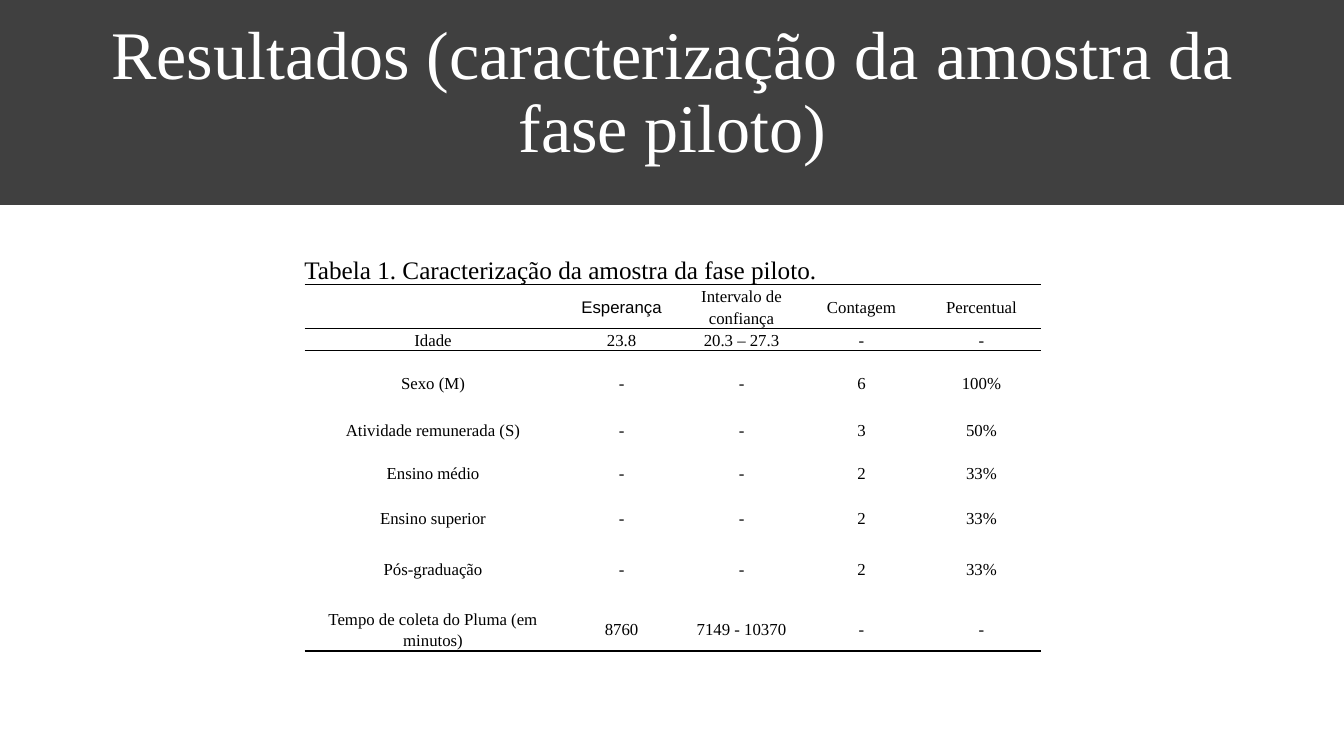
"""Build the slide that describes the pilot sample."""
from dataclasses import dataclass
from typing import Any

from lxml.etree import SubElement as Sub
from pptx import Presentation
from pptx.dml.color import RGBColor as RGB
from pptx.enum.shapes import MSO_SHAPE as Shape
from pptx.enum.text import MSO_ANCHOR as Anchor, MSO_AUTO_SIZE as Fit, PP_ALIGN as Align
from pptx.oxml.ns import qn
from pptx.util import Inches, Pt

HUES = {"band": "404040", "ink": "000000", "paper": "FFFFFF"}
SERIF, SANS = "Times New Roman", "Arial"
PLAIN = "{2D5ABB26-0587-4C30-8999-92F81FD0307C}"
TOP, BASE = "a:lnT", "a:lnB"
COLS = (2.55, 1.19, 1.19, 1.19, 1.19)
CELL = {"margin_left": Inches(0.05), "margin_right": Inches(0.05),
        "margin_top": 0, "margin_bottom": 0, "vertical_anchor": Anchor.MIDDLE}


@dataclass(frozen=True)
class Row:
    """One table row: its height, texts and ruled edges."""
    high: float
    cells: tuple[str, ...] = ("",) * len(COLS)
    rules: tuple[str, ...] = ()


ROWS = (
    Row(0.44, ("", "Esperança", "Intervalo de confiança", "Contagem", "Percentual"), (TOP, BASE)),
    Row(0.22, ("Idade", "23.8", "20.3 – 27.3", "-", "-"), (TOP,)),
    Row(0.21),
    Row(0.22, ("Sexo (M)", "-", "-", "6", "100%")),
    Row(0.24),
    Row(0.22, ("Atividade remunerada (S)", "-", "-", "3", "50%")),
    Row(0.21),
    Row(0.22, ("Ensino médio", "-", "-", "2", "33%")),
    Row(0.21),
    Row(0.26, ("Ensino superior", "-", "-", "2", "33%")),
    Row(0.25),
    Row(0.25, ("Pós-graduação", "-", "-", "2", "33%")),
    Row(0.25),
    Row(0.44, ("Tempo de coleta do Pluma (em minutos)", "8760", "7149 - 10370", "-", "-"), (BASE,)),
)


def apply(item: Any, form: dict[str, Any]) -> None:
    """Set each format value on the item."""
    for name, value in form.items():
        setattr(item, name, value)


def write(para: Any, text: str, size: float, hue: str, form: dict[str, Any],
          face: str = SERIF) -> None:
    """Write one formatted run in a paragraph."""
    apply(para, form)
    run = para.add_run()
    run.text = text
    apply(run.font, {"size": Pt(size), "name": face})
    run.font.color.rgb = RGB.from_string(HUES[hue])


def rule(cell: Any, edge: str) -> None:
    """Draw a thin line on one edge of a cell."""
    line = Sub(cell._tc.get_or_add_tcPr(), qn(edge), w=str(Pt(1)))
    Sub(Sub(line, qn("a:solidFill")), qn("a:srgbClr"), val=HUES["ink"])


def fill(cell: Any, text: str, rules: tuple[str, ...]) -> None:
    """Format one cell and give it its text and rules."""
    apply(cell, CELL)
    for edge in rules:
        rule(cell, edge)
    cell.fill.background()
    para = cell.text_frame.paragraphs[0]
    if text:
        face = SANS if text == "Esperança" else SERIF
        write(para, text, 12, "ink", {"alignment": Align.CENTER, "line_spacing": 1.15}, face)
    else:
        Sub(para._p, qn("a:endParaRPr"), sz="800")


def head(slide: Any) -> None:
    """Draw the dark band and the title on it."""
    band = slide.shapes.add_shape(Shape.RECTANGLE, 0, 0, Inches(13.33), Inches(2.03))
    band.shadow.inherit = False
    band.fill.solid()
    for part in (band.fill.fore_color, band.line.color):
        part.rgb = RGB.from_string(HUES["band"])
    band.line.width = Pt(1)
    title = slide.shapes.title
    apply(title, {"left": Inches(0.92), "top": Inches(0.69),
                  "width": Inches(11.5), "height": Inches(1.02)})
    apply(title.text_frame, {"word_wrap": True, "auto_size": Fit.NONE,
                             "vertical_anchor": Anchor.BOTTOM})
    write(title.text_frame.paragraphs[0],
          "Resultados (caracterização da amostra da fase piloto)", 48.6, "paper",
          {"alignment": Align.CENTER, "line_spacing": 0.9})
    title.element.addprevious(band.element)


def grid(slide: Any) -> None:
    """Draw the table of the sample."""
    table = slide.shapes.add_table(len(ROWS), len(COLS), Inches(3.02), Inches(2.82),
                                   Inches(sum(COLS)), Inches(sum(r.high for r in ROWS))).table
    apply(table, {"first_row": False, "horz_banding": False})
    table._tbl.tblPr.find(qn("a:tableStyleId")).text = PLAIN
    for col, wide in zip(table.columns, COLS):
        col.width = Inches(wide)
    for line, row in zip(table.rows, ROWS):
        line.height = Inches(row.high)
        for cell, text in zip(line.cells, row.cells):
            fill(cell, text, row.rules)


def label(slide: Any) -> None:
    """Write the caption above the table."""
    frame = slide.shapes.add_textbox(Inches(2.92), Inches(2.32),
                                     Inches(6.67), Inches(0.51)).text_frame
    apply(frame, {"word_wrap": True, "auto_size": Fit.SHAPE_TO_FIT_TEXT})
    write(frame.paragraphs[0], "Tabela 1. Caracterização da amostra da fase piloto.", 18, "ink",
          {"alignment": Align.JUSTIFY, "line_spacing": 1.5, "space_after": Pt(8)})


def main() -> None:
    """Build and save the deck."""
    deck = Presentation()
    apply(deck, {"slide_width": Inches(13.33), "slide_height": Inches(7.5)})
    slide = deck.slides.add_slide(deck.slide_layouts.get_by_name("Title Only"))
    for draw in (head, grid, label):
        draw(slide)
    deck.save("out.pptx")


if __name__ == "__main__":
    main()
